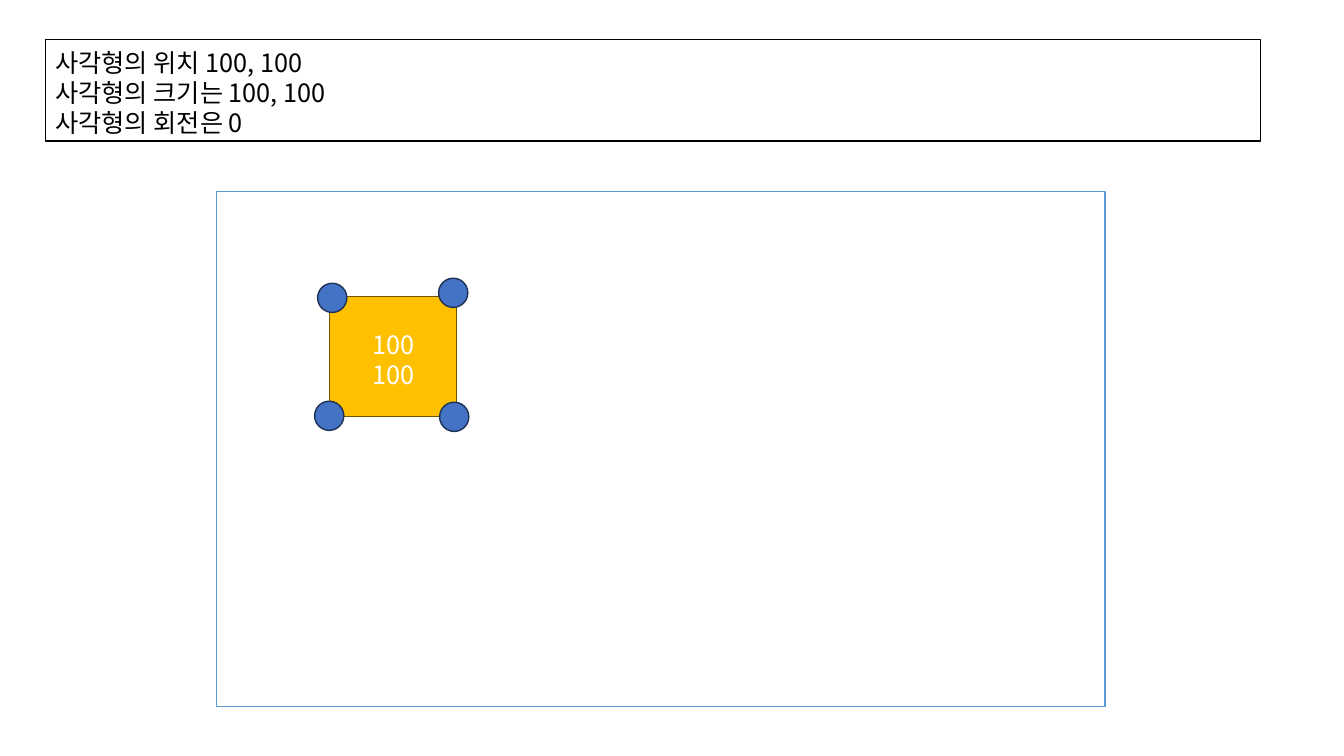
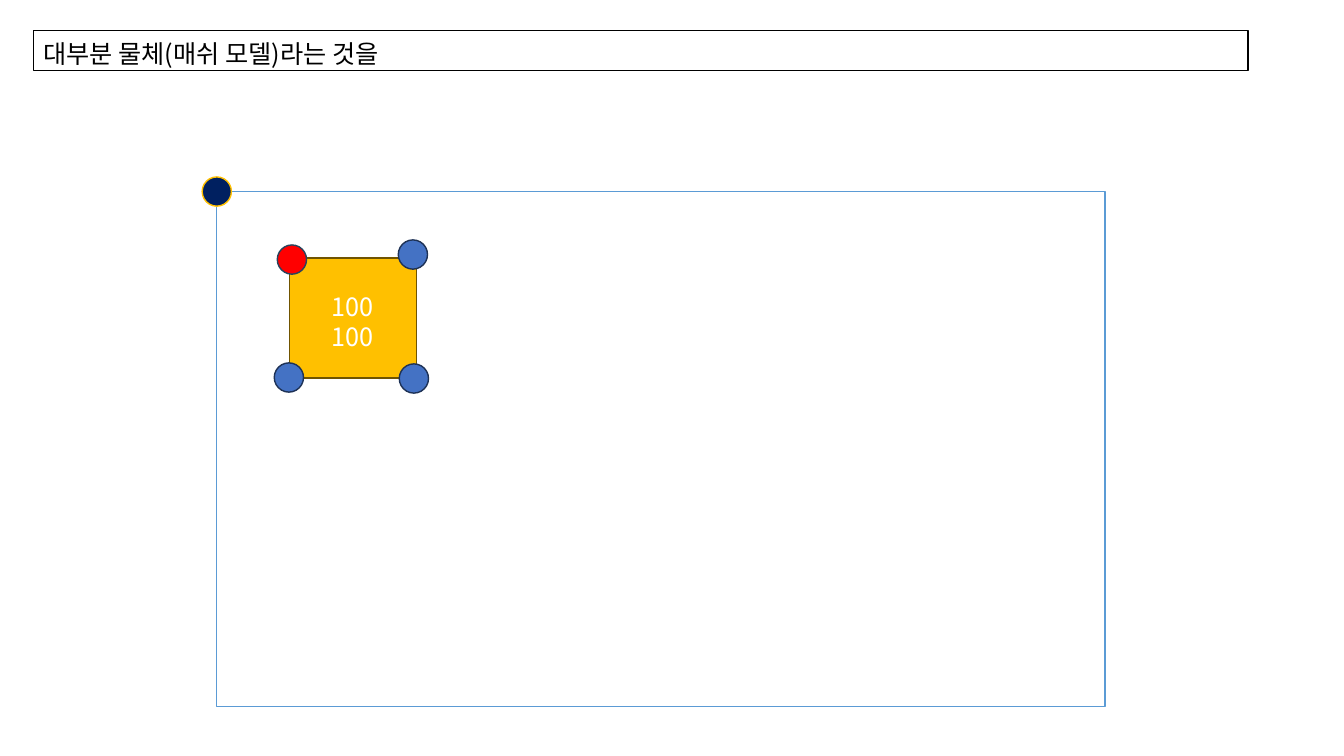
from lxml import etree
from pptx import Presentation
from pptx.dml.color import RGBColor
from pptx.enum.shapes import MSO_SHAPE
from pptx.enum.text import MSO_ANCHOR, PP_ALIGN
from pptx.oxml.ns import qn
from pptx.util import Inches, Pt

RECTANGLE, OVAL = MSO_SHAPE.RECTANGLE, MSO_SHAPE.OVAL
TOP, MIDDLE = MSO_ANCHOR.TOP, MSO_ANCHOR.MIDDLE
LEFT, CENTER = PP_ALIGN.LEFT, PP_ALIGN.CENTER

FONT = "Noto Sans CJK KR"
COLORS = {
    "paper": "FFFFFF",
    "ink": "000000",
    "field_edge": "5B9BD5",
    "square": "FFC000",
    "square_edge": "705400",
    "handle": "4472C4",
    "handle_edge": "1E3256",
    "pivot": "FF0000",
    "pivot_edge": "28445D",
    "origin": "002060",
}

deck = Presentation()
deck.slide_width, deck.slide_height = Inches(13.33), Inches(7.5)
CELL = deck.slide_height / 90

FIELD = (25.8, 22.8, 105.72, 61.32)
NOTE_WIDTH = 144.6
SQUARE_SIZE = (15.12, 14.28)
HANDLE = 3.48
HANDLE_OFFSETS = [(-1.44, -1.56), (12.96, -2.16), (13.08, 12.6), (-1.8, 12.48)]


def color(name):
    return RGBColor.from_string(COLORS[name])


def add_figure(slide, kind, box, fill, edge, lines=(), ink="ink", align=LEFT, anchor=TOP):
    figure = slide.shapes.add_shape(kind, *(round(cells * CELL) for cells in box))
    figure.shadow.inherit = False
    figure.fill.solid()
    figure.fill.fore_color.rgb = color(fill)
    figure.line.color.rgb = color(edge)
    figure.line.width = Pt(1)
    frame = figure.text_frame
    frame.word_wrap = True
    frame.vertical_anchor = anchor
    frame.margin_top, frame.margin_bottom = Inches(0.08), Inches(0.02)
    for index, line in enumerate(lines):
        paragraph = frame.add_paragraph() if index else frame.paragraphs[0]
        paragraph.alignment = align
        paragraph.line_spacing = Pt(21.5)
        run = paragraph.add_run()
        run.text = line
        run.font.size = Pt(18)
        run.font.name = FONT
        run.font.color.rgb = color(ink)
        etree.SubElement(run.font._element, qn("a:ea"), typeface=FONT)


scenes = [
    {
        "note": ["사각형의 위치 100, 100", "사각형의 크기는 100, 100", "사각형의 회전은 0"],
        "note_box": (5.4, 4.68, NOTE_WIDTH, 12.12),
        "square": (39.24, 35.28),
        "first_handle": ("handle", "handle_edge"),
        "shows_origin": False,
    },
    {
        "note": ["대부분 물체(매쉬 모델)라는 것을"],
        "note_box": (3.96, 3.6, NOTE_WIDTH, 4.8),
        "square": (34.44, 30.72),
        "first_handle": ("pivot", "pivot_edge"),
        "shows_origin": True,
    },
]

for scene in scenes:
    slide = deck.slides.add_slide(deck.slide_layouts[6])
    add_figure(slide, RECTANGLE, FIELD, "paper", "field_edge")
    add_figure(slide, RECTANGLE, scene["note_box"], "paper", "ink", scene["note"])

    left, top = scene["square"]
    add_figure(slide, RECTANGLE, (left, top, *SQUARE_SIZE), "square", "square_edge",
               ["100", "100"], "paper", CENTER, MIDDLE)

    handle_colors = [scene["first_handle"]] + [("handle", "handle_edge")] * 3
    for (across, down), (fill, edge) in zip(HANDLE_OFFSETS, handle_colors):
        add_figure(slide, OVAL, (left + across, top + down, HANDLE, HANDLE), fill, edge)

    if scene["shows_origin"]:
        corner = (FIELD[0] - HANDLE / 2, FIELD[1] - HANDLE / 2, HANDLE, HANDLE)
        add_figure(slide, OVAL, corner, "origin", "square")

deck.save("out.pptx")
